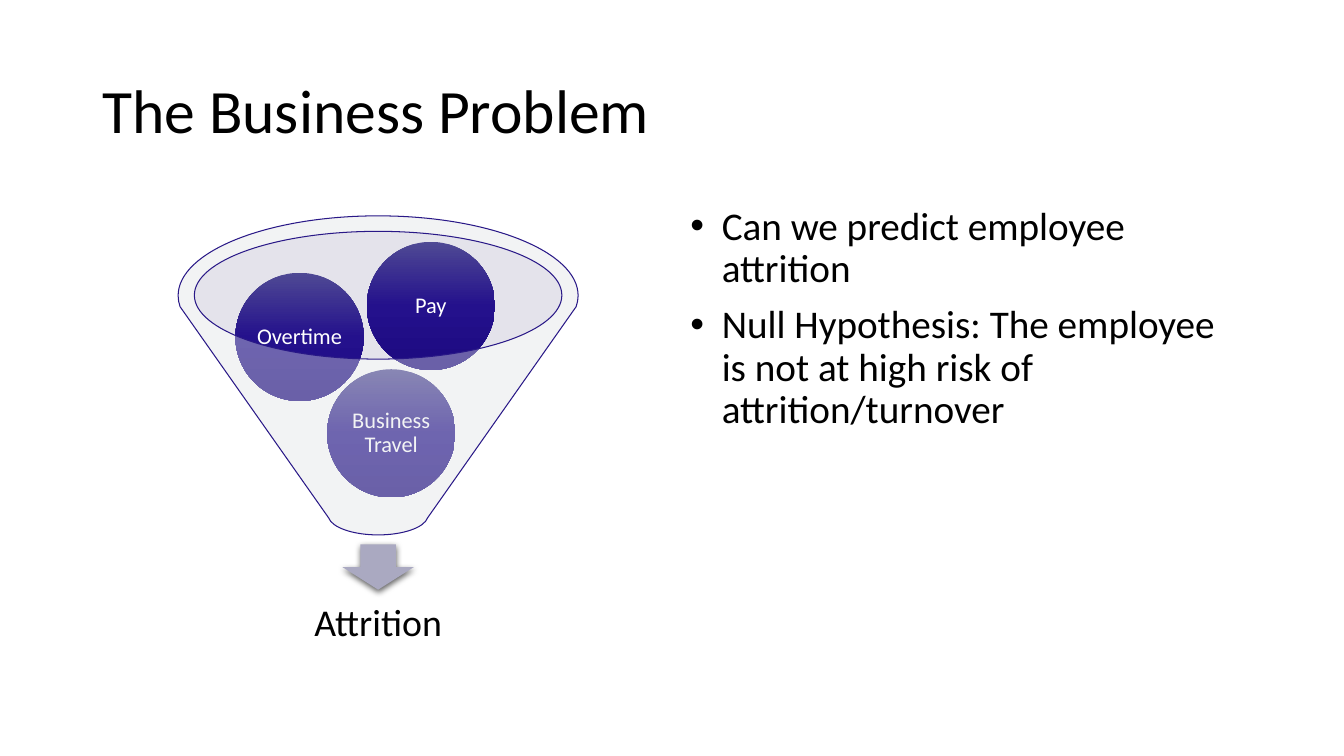
from copy import deepcopy
from math import cos, radians, sin, tan

from lxml.etree import SubElement
from pptx import Presentation
from pptx.dml.color import RGBColor
from pptx.enum.shapes import MSO_SHAPE
from pptx.enum.text import MSO_ANCHOR, PP_ALIGN
from pptx.oxml.ns import qn
from pptx.util import Cm, Pt

TITLE = "The Business Problem"
QUESTIONS = [
    "Can we predict employee attrition",
    "Null Hypothesis: The employee is not at high risk of attrition/turnover",
]
FACTORS = [
    ("Business Travel", 9.86, 10.92),
    ("Overtime", 7.55, 8.49),
    ("Pay", 10.86, 7.71),
]
OUTCOME = "Attrition"

FONT = "Calibri"
BLACK, WHITE = "000000", "FFFFFF"
BALL_GRADIENT = [(0, "4F4994"), (0.5, "24118C"), (1, "1C0980")]
BALL_SIZE = 3.23
AXIS = 9.53
RIM = (7.45, 5.04, 2.01)
MOUTH = (7.44, 4.63, 1.61)
SPOUT = (12.98, 1.26, 0.5)
RIM_ANGLES = [172, 180, 270, 360, 368]
SPOUT_ANGLES = [8, 90, 172]
MOUTH_ANGLES = [180, 90, 0, -90, -180]


def rgb(hex_color):
    return RGBColor.from_string(hex_color)


def set_alpha(shape, percent):
    color = shape._element.spPr.find(qn("a:solidFill"))[0]
    SubElement(color, qn("a:alpha"), val=str(percent * 1000))


def write(shape, lines, size, color=BLACK, align=PP_ALIGN.LEFT,
          anchor=MSO_ANCHOR.MIDDLE, insets=(0.25, 0.13)):
    frame = shape.text_frame
    frame.word_wrap = True
    frame.vertical_anchor = anchor
    frame.margin_left = frame.margin_right = Cm(insets[0])
    frame.margin_top = frame.margin_bottom = Cm(insets[1])
    frame.text = "\n".join(lines)
    for paragraph in frame.paragraphs:
        paragraph.alignment = align
        paragraph.line_spacing = 0.9
        font = paragraph.runs[0].font
        font.name, font.size, font.color.rgb = FONT, Pt(size), rgb(color)
    return frame.paragraphs


def add_textbox(slide, box, *args, **options):
    return write(slide.shapes.add_textbox(*map(Cm, box)), *args, **options)


def add_plain(slide, kind, box, color):
    shape = slide.shapes.add_shape(kind, *map(Cm, box))
    shape.shadow.inherit = False
    shape.fill.solid()
    shape.fill.fore_color.rgb = rgb(color)
    shape.line.fill.background()
    return shape


def on_ellipse(ellipse, angle, pull=0):
    middle, rx, ry = ellipse
    c, s = cos(radians(angle)), sin(radians(angle))
    return Cm(AXIS + rx * (c - pull * s)), Cm(middle + ry * (s + pull * c))


def curves(ellipse, angles):
    result = []
    for start, end in zip(angles, angles[1:]):
        pull = 4 / 3 * tan(radians(end - start) / 4)
        result.append([on_ellipse(ellipse, start, pull),
                       on_ellipse(ellipse, end, -pull),
                       on_ellipse(ellipse, end)])
    return result


def add_mouth(slide):
    middle, rx, ry = MOUTH
    mouth = add_plain(slide, MSO_SHAPE.OVAL,
                      (AXIS - rx, middle - ry, 2 * rx, 2 * ry), "BCBBCE")
    set_alpha(mouth, 40)


def add_arrow(slide):
    arrow = add_plain(slide, MSO_SHAPE.DOWN_ARROW,
                      (AXIS - 0.9, 13.72, 1.8, 1.14), "AAA9C1")
    effects = arrow._element.spPr.find(qn("a:effectLst"))
    shadow = SubElement(effects, qn("a:outerShdw"), blurRad=str(Pt(4.5)),
                        dist=str(Pt(1.5)), dir="5400000", rotWithShape="0")
    color = SubElement(shadow, qn("a:srgbClr"), val=BLACK)
    SubElement(color, qn("a:alpha"), val="62000")


def add_ball(slide, factor, x, y):
    ball = add_plain(slide, MSO_SHAPE.OVAL,
                     (x - BALL_SIZE / 2, y - BALL_SIZE / 2, BALL_SIZE, BALL_SIZE),
                     BALL_GRADIENT[0][1])
    ball.fill.gradient()
    ball.fill.gradient_angle = 270
    stops = ball._element.spPr.find(qn("a:gradFill")).find(qn("a:gsLst"))
    stops.append(deepcopy(stops[0]))
    for stop, (position, color) in zip(ball.fill.gradient_stops, BALL_GRADIENT):
        stop.position = position
        stop.color.rgb = rgb(color)
    write(ball, [factor], 16, WHITE, PP_ALIGN.CENTER, insets=(0.05, 0.05))


def add_funnel(slide):
    outline = (curves(RIM, RIM_ANGLES) + [[on_ellipse(SPOUT, SPOUT_ANGLES[0])]]
               + curves(SPOUT, SPOUT_ANGLES))
    hole = curves(MOUTH, MOUTH_ANGLES)
    builder = slide.shapes.build_freeform(*on_ellipse(RIM, RIM_ANGLES[0]))
    builder.add_line_segments([curve[-1] for curve in outline], close=True)
    builder.move_to(*on_ellipse(MOUTH, MOUTH_ANGLES[0]))
    builder.add_line_segments([curve[-1] for curve in hole], close=True)
    funnel = builder.convert_to_shape()
    sides = list(funnel._element.spPr.iter(qn("a:lnTo")))
    for side, curve in zip(sides, outline + hole):
        if len(curve) == 3:
            side.tag = qn("a:cubicBezTo")
            side.remove(side[0])
            for x, y in curve:
                SubElement(side, qn("a:pt"), x=str(x - funnel.left),
                           y=str(y - funnel.top))
    funnel.shadow.inherit = False
    funnel.fill.solid()
    funnel.fill.fore_color.rgb = rgb("DFE3E5")
    set_alpha(funnel, 40)
    funnel.line.color.rgb = rgb("291887")
    funnel.line.width = Pt(0.75)


def add_questions(slide):
    paragraphs = add_textbox(slide, (17.15, 5.07, 14.4, 12.09), QUESTIONS, 28,
                             anchor=MSO_ANCHOR.TOP)
    for index, paragraph in enumerate(paragraphs):
        paragraph.space_before = Pt(10 if index else 0)
        properties = paragraph._p.get_or_add_pPr()
        properties.set("marL", str(Cm(0.79)))
        properties.set("indent", str(-Cm(0.79)))
        bullet_color = SubElement(properties, qn("a:buClr"))
        SubElement(bullet_color, qn("a:srgbClr"), val=BLACK)
        SubElement(properties, qn("a:buFont"), typeface="Arial")
        SubElement(properties, qn("a:buChar"), char="•")


def main():
    """Build the business problem slide with its attrition funnel."""
    deck = Presentation()
    deck.slide_width, deck.slide_height = Cm(33.87), Cm(19.05)
    slide = deck.slides.add_slide(deck.slide_layouts[6])
    add_textbox(slide, (2.33, 1.01, 29.21, 3.68), [TITLE], 44)
    add_mouth(slide)
    add_arrow(slide)
    add_textbox(slide, (AXIS - 4.32, 14.64, 8.64, 2.16), [OUTCOME], 27,
                align=PP_ALIGN.CENTER, insets=(0.53, 0.53))
    for factor in FACTORS:
        add_ball(slide, *factor)
    add_funnel(slide)
    add_questions(slide)
    deck.save("out.pptx")


if __name__ == "__main__":
    main()
